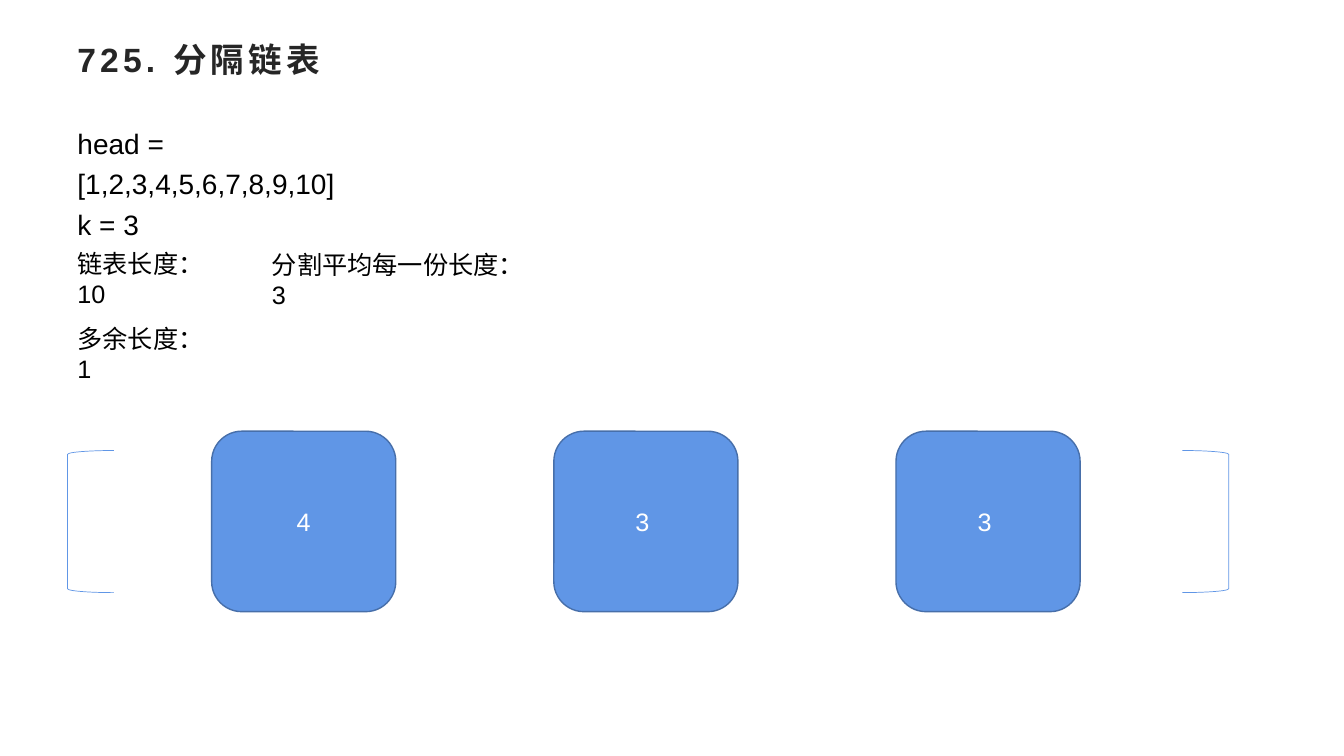
from dataclasses import dataclass

from lxml import etree
from pptx import Presentation
from pptx.dml.color import RGBColor
from pptx.enum import lang, shapes, text
from pptx.oxml import ns
from pptx.shapes.autoshape import Shape
from pptx.slide import Slide
from pptx.util import Pt


@dataclass(frozen=True)
class Theme:
    font: str = "Arial"
    title_color: RGBColor = RGBColor(0x26, 0x26, 0x26)
    body_color: RGBColor = RGBColor(0, 0, 0)
    part_color: RGBColor = RGBColor(0xFF, 0xFF, 0xFF)
    accent: RGBColor = RGBColor(0x60, 0x96, 0xE6)
    part_outline: RGBColor = RGBColor(0x47, 0x6F, 0xAA)
    title_size: float = 24
    input_size: float = 20
    body_size: float = 18
    title_tracking: float = 3


@dataclass(frozen=True)
class Box:
    left: float
    top: float
    width: float
    height: float


@dataclass(frozen=True)
class Note:
    box: Box
    lines: tuple[str, ...]
    size: float
    spacing: float = 1.0


@dataclass(frozen=True)
class Bracket:
    kind: shapes.MSO_SHAPE
    left: float


THEME = Theme()
MARGIN = 48.24

TITLE = Note(Box(MARGIN, 14.4, 864, 55.4), ("725. 分隔链表",), THEME.title_size)
NOTES = (
    Note(Box(MARGIN, 82, 260, 65.5), ("head = [1,2,3,4,5,6,7,8,9,10]", "k = 3"),
         THEME.input_size, 1.2),
    Note(Box(MARGIN, 173.5, 120, 29), ("链表长度：10",), THEME.body_size),
    Note(Box(187.2, 174.2, 200, 29), ("分割平均每一份长度：3",), THEME.body_size),
    Note(Box(MARGIN, 227.5, 110, 29), ("多余长度：1",), THEME.body_size),
)
BRACKETS = (
    Bracket(shapes.MSO_SHAPE.LEFT_BRACKET, MARGIN),
    Bracket(shapes.MSO_SHAPE.RIGHT_BRACKET, 844.6),
)
PART_LENGTHS = ("4", "3 ", "3 ")
FIRST_PART = Box(151.2, 308, 131.5, 128.9)
PART_PITCH = 244.4


def place(box: Box) -> tuple[Pt, Pt, Pt, Pt]:
    return Pt(box.left), Pt(box.top), Pt(box.width), Pt(box.height)


def write_lines(shape: Shape, lines: tuple[str, ...], size: float, color: RGBColor,
                bold: bool = False, tracking: float = 0, spacing: float = 1.0,
                align: text.PP_ALIGN = text.PP_ALIGN.LEFT) -> None:
    frame = shape.text_frame
    frame.word_wrap = True
    for index, line in enumerate(lines):
        paragraph = frame.add_paragraph() if index else frame.paragraphs[0]
        paragraph.alignment = align
        paragraph.line_spacing = spacing
        run = paragraph.add_run()
        run.text = line
        run.font.name = THEME.font
        run.font.size = Pt(size)
        run.font.bold = bold
        run.font.color.rgb = color
        run.font.language_id = lang.MSO_LANGUAGE_ID.SIMPLIFIED_CHINESE
        properties = run._r.get_or_add_rPr()
        etree.SubElement(properties, ns.qn("a:ea")).set("typeface", THEME.font)
        if tracking:
            properties.set("spc", str(round(tracking * 100)))


def add_title(slide: Slide, title: Note) -> None:
    heading = slide.shapes.add_textbox(*place(title.box))
    heading.text_frame.vertical_anchor = text.MSO_ANCHOR.MIDDLE
    write_lines(heading, title.lines, title.size, THEME.title_color,
                bold=True, tracking=THEME.title_tracking)


def add_note(slide: Slide, note: Note) -> None:
    label = slide.shapes.add_textbox(*place(note.box))
    label.text_frame.auto_size = text.MSO_AUTO_SIZE.SHAPE_TO_FIT_TEXT
    write_lines(label, note.lines, note.size, THEME.body_color, spacing=note.spacing)


def add_bracket(slide: Slide, bracket: Bracket) -> None:
    edge = slide.shapes.add_shape(
        bracket.kind, *place(Box(bracket.left, 321.8, 33.1, 101.5)))
    edge.shadow.inherit = False
    edge.fill.background()
    edge.line.color.rgb = THEME.accent
    edge.line.width = Pt(0.5)


def add_part(slide: Slide, index: int, length: str) -> None:
    box = Box(FIRST_PART.left + index * PART_PITCH, FIRST_PART.top,
              FIRST_PART.width, FIRST_PART.height)
    part = slide.shapes.add_shape(shapes.MSO_SHAPE.ROUNDED_RECTANGLE, *place(box))
    part.shadow.inherit = False
    part.fill.solid()
    part.fill.fore_color.rgb = THEME.accent
    part.line.color.rgb = THEME.part_outline
    part.line.width = Pt(1)
    part.text_frame.vertical_anchor = text.MSO_ANCHOR.MIDDLE
    write_lines(part, (length,), THEME.body_size, THEME.part_color,
                align=text.PP_ALIGN.CENTER)


def main() -> None:
    deck = Presentation()
    deck.slide_width, deck.slide_height = Pt(960), Pt(540)
    slide = deck.slides.add_slide(deck.slide_layouts[6])
    add_title(slide, TITLE)
    for bracket in BRACKETS:
        add_bracket(slide, bracket)
    for index, length in enumerate(PART_LENGTHS):
        add_part(slide, index, length)
    for note in NOTES:
        add_note(slide, note)
    deck.save("out.pptx")


if __name__ == "__main__":
    main()
